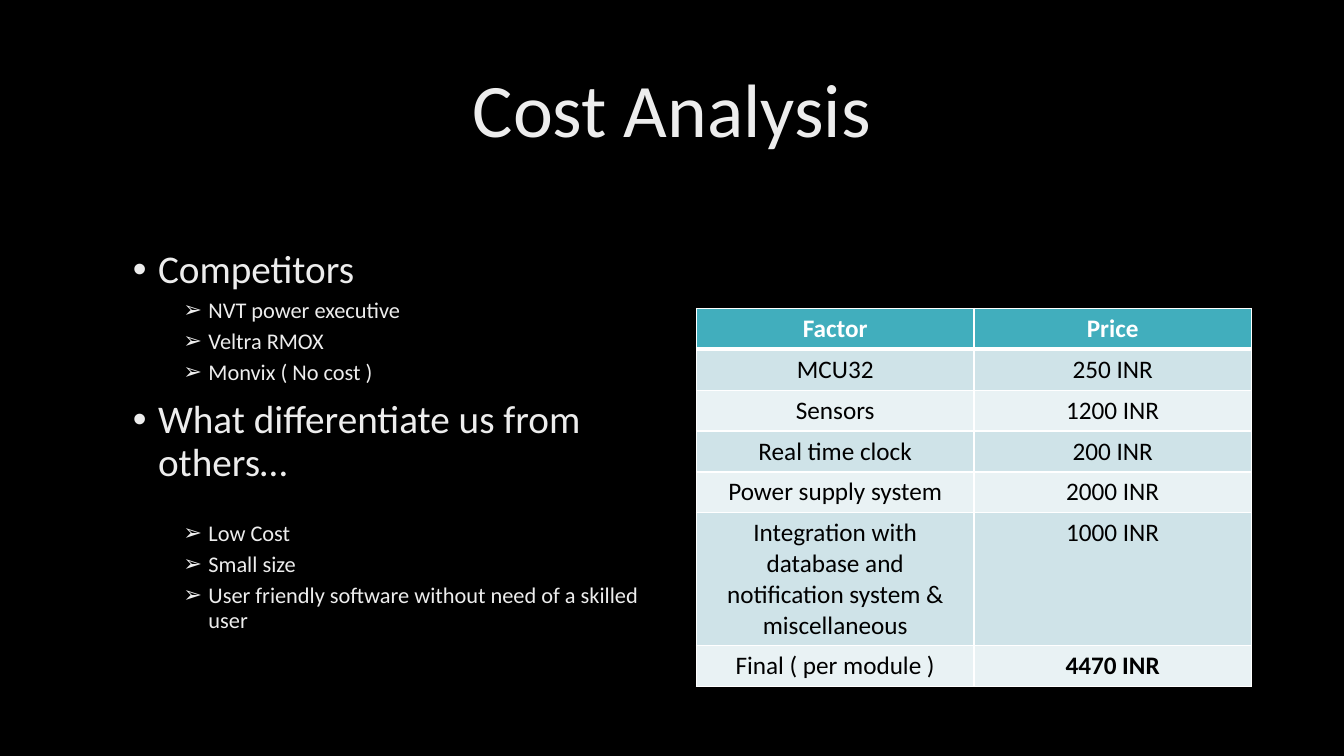
from lxml.etree import SubElement
from pptx import Presentation
from pptx.dml.color import RGBColor
from pptx.enum.text import MSO_ANCHOR, PP_ALIGN
from pptx.oxml.ns import qn
from pptx.util import Pt

# Content
TITLE = "Cost Analysis"
SECTIONS = [
    ("Competitors", 5, ["NVT power executive", "Veltra RMOX", "Monvix ( No cost )"]),
    ("What differentiate us from others…", 27,
     ["Low Cost", "Small size", "User friendly software without need of a skilled user"]),
]  # heading, space above its first item, items
COSTS = [
    ("Factor", "Price"),
    ("MCU32", "250 INR"),
    ("Sensors", "1200 INR"),
    ("Real time clock", "200 INR"),
    ("Power supply system", "2000 INR"),
    ("Integration with database and notification system & miscellaneous", "1000 INR"),
    ("Final ( per module )", "4470 INR"),
]

# Style
FONT = "Calibri"
BLACK = RGBColor(0x00, 0x00, 0x00)
WHITE = RGBColor(0xFF, 0xFF, 0xFF)
SILVER = RGBColor(0xED, 0xED, 0xED)
TEAL = RGBColor(0x41, 0xAE, 0xBD)
BANDS = [RGBColor(0xE9, 0xF2, 0xF4), RGBColor(0xCF, 0xE3, 0xE8)]

# Layout in points: left, top, width, height
TITLE_BOX = (66, 28.8, 828, 104.4)
LIST_BOX = (87.84, 144, 396, 342.72)
TABLE_LEFT, TABLE_TOP, COLUMN_WIDTH = 497.5, 220.3, 198.2
ROW_HEIGHT, TALL_ROW, TALL_ROW_HEIGHT = 29.2, 5, 95.04


def write(paragraph, text, size=18, color=SILVER, bold=False, align=PP_ALIGN.LEFT,
          spacing=None, before=0, indent=0, bullet=None):
    run = paragraph.add_run()
    run.text = text
    run.font.name, run.font.size, run.font.bold = FONT, Pt(size), bold
    run.font.color.rgb = color
    paragraph.alignment = align
    paragraph.space_before = Pt(before)
    if spacing:
        paragraph.line_spacing = spacing
    if bullet:
        properties = paragraph._p.get_or_add_pPr()
        properties.set("marL", str(Pt(indent)))
        properties.set("indent", str(Pt(-18)))
        SubElement(properties, qn("a:buFont"), typeface="Arial")
        SubElement(properties, qn("a:buChar"), char=bullet)


def add_text_frame(slide, box):
    frame = slide.shapes.add_textbox(*(Pt(length) for length in box)).text_frame
    frame.word_wrap = True
    frame.vertical_anchor = MSO_ANCHOR.MIDDLE
    return frame


def set_borders(cell, top, bottom):
    properties = cell._tc.get_or_add_tcPr()
    for side, width in (("L", 1), ("R", 1), ("T", top), ("B", bottom)):
        line = SubElement(properties, qn(f"a:ln{side}"), w=str(Pt(width)))
        fill = SubElement(line, qn("a:solidFill"))
        SubElement(fill, qn("a:srgbClr"), val=str(WHITE))


def add_lists(slide):
    frame = add_text_frame(slide, LIST_BOX)
    paragraph = frame.paragraphs[0]
    for number, (heading, first_gap, items) in enumerate(SECTIONS):
        if number:
            paragraph = frame.add_paragraph()
        write(paragraph, heading, size=28, spacing=0.9, before=10, indent=18, bullet="•")
        for index, item in enumerate(items):
            paragraph = frame.add_paragraph()
            paragraph.level = 1
            write(paragraph, item, size=16, spacing=0.9, indent=54, bullet="➢",
                  before=5 if index else first_gap)


def add_cost_table(slide):
    heights = [TALL_ROW_HEIGHT if row == TALL_ROW else ROW_HEIGHT for row in range(len(COSTS))]
    table = slide.shapes.add_table(
        len(COSTS), 2, Pt(TABLE_LEFT), Pt(TABLE_TOP), Pt(2 * COLUMN_WIDTH), Pt(sum(heights))).table
    for column in table.columns:
        column.width = Pt(COLUMN_WIDTH)
    for row, texts in enumerate(COSTS):
        table.rows[row].height = Pt(heights[row])
        header = row == 0
        for column, text in enumerate(texts):
            cell = table.cell(row, column)
            set_borders(cell, top=3 if row == 1 else 1, bottom=3 if header else 1)
            cell.fill.solid()
            cell.fill.fore_color.rgb = TEAL if header else BANDS[row % 2]
            total = row == len(COSTS) - 1 and column == 1
            write(cell.text_frame.paragraphs[0], text, color=WHITE if header else BLACK,
                  bold=header or total, align=PP_ALIGN.CENTER)


def main():
    presentation = Presentation()
    presentation.slide_width, presentation.slide_height = Pt(960), Pt(540)
    slide = presentation.slides.add_slide(presentation.slide_layouts[6])
    slide.background.fill.solid()
    slide.background.fill.fore_color.rgb = BLACK

    title = add_text_frame(slide, TITLE_BOX).paragraphs[0]
    write(title, TITLE, size=54, align=PP_ALIGN.CENTER, spacing=0.9)
    add_lists(slide)
    add_cost_table(slide)
    presentation.save("out.pptx")


if __name__ == "__main__":
    main()
